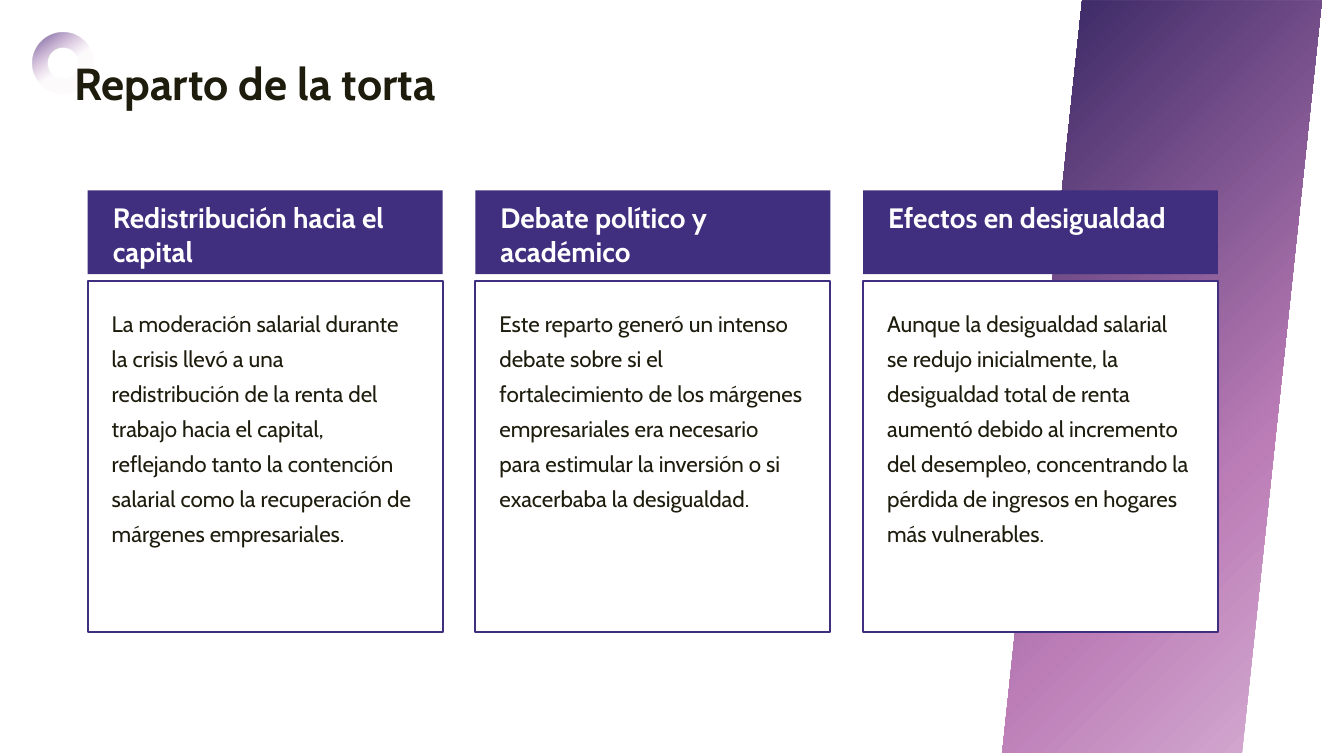
"""Build the slide 'Reparto de la torta': three headed cards over a violet band."""
from lxml import etree
from pptx import Presentation
from pptx.dml.color import RGBColor
from pptx.enum import shapes, text
from pptx.oxml import ns
from pptx.util import Inches, Pt

VIOLET, INK, WHITE = "402E7F", "1E1C0D", "FFFFFF"
COLUMN_LEFT, COLUMN_STEP, COLUMN_WIDTH = 0.87, 3.845, 3.52
TEXT_INSET = 0.15

columns = [
    ("Redistribución hacia el capital",
     "La moderación salarial durante la crisis llevó a una redistribución de la renta "
     "del trabajo hacia el capital, reflejando tanto la contención salarial como la "
     "recuperación de márgenes empresariales."),
    ("Debate político y académico",
     "Este reparto generó un intenso debate sobre si el fortalecimiento de los márgenes "
     "empresariales era necesario para estimular la inversión o si exacerbaba la "
     "desigualdad."),
    ("Efectos en desigualdad",
     "Aunque la desigualdad salarial se redujo inicialmente, la desigualdad total de "
     "renta aumentó debido al incremento del desempleo, concentrando la pérdida de "
     "ingresos en hogares más vulnerables."),
]


def color(value):
    return RGBColor.from_string(value)


def write(box, words, size, ink, bold=False, spacing=1.0):
    frame = box.text_frame
    frame.word_wrap = True
    frame.auto_size = text.MSO_AUTO_SIZE.SHAPE_TO_FIT_TEXT
    frame.vertical_anchor = text.MSO_ANCHOR.TOP
    frame.text = words
    paragraph = frame.paragraphs[0]
    paragraph.alignment = text.PP_ALIGN.LEFT
    paragraph.line_spacing = spacing
    paragraph.font.name = "Cabin"
    paragraph.font.size = Pt(size)
    paragraph.font.bold = bold
    paragraph.font.color.rgb = color(ink)


deck = Presentation()
deck.slide_width, deck.slide_height = Inches(13.33), Inches(7.5)
slide = deck.slides.add_slide(deck.slide_layouts[5])

decorations = [
    (shapes.MSO_SHAPE.DONUT, (0.32, 0.32, 0.61, 0.61), 99, 315,
     [(0, VIOLET, 100), (54, "BC7DB7", 3), (100, "BC7DB7", 3)]),
    (shapes.MSO_SHAPE.PARALLELOGRAM, (9.94, 0.01, 3.17, 7.46), 0, 225,
     [(0, "D7B1D4", 100), (34, "BC7DB7", 100), (100, "30225F", 100)]),
]
for preset, place, rotation, angle, stops in decorations:
    decoration = slide.shapes.add_shape(preset, *map(Inches, place))
    decoration.rotation = rotation
    decoration.shadow.inherit = False
    decoration.line.fill.background()
    decoration.fill.gradient()
    decoration.fill.gradient_angle = 360 - angle
    stop_list = decoration.element.spPr.find(ns.qn("a:gradFill")).find(ns.qn("a:gsLst"))
    for stop in list(stop_list):
        stop_list.remove(stop)
    for position, shade, opacity in stops:
        stop = etree.SubElement(stop_list, ns.qn("a:gs"), pos=str(position * 1000))
        tone = etree.SubElement(stop, ns.qn("a:srgbClr"), val=shade)
        if opacity < 100:
            etree.SubElement(tone, ns.qn("a:alpha"), val=str(opacity * 1000))

title = slide.shapes.title
title.left, title.top, title.width, title.height = map(Inches, (0.64, 0.5, 11.1, 0.64))
write(title, "Reparto de la torta", 32, INK, bold=True)
slide.shapes.element.append(title.element)

for index, (heading, explanation) in enumerate(columns):
    left = COLUMN_LEFT + index * COLUMN_STEP
    for top, height, fill in [(2.79, 3.48, WHITE), (1.89, 0.83, VIOLET)]:
        panel = slide.shapes.add_shape(
            shapes.MSO_SHAPE.RECTANGLE, *map(Inches, (left, top, COLUMN_WIDTH, height)))
        panel.shadow.inherit = False
        panel.fill.solid()
        panel.fill.fore_color.rgb = color(fill)
        if fill == WHITE:
            panel.line.color.rgb = color(VIOLET)
            panel.line.width = Pt(1.5)
        else:
            panel.line.fill.background()

    text_left, text_width = left + TEXT_INSET, COLUMN_WIDTH - 2 * TEXT_INSET
    heading_box = slide.shapes.add_textbox(
        *map(Inches, (text_left, 1.94, text_width, 0.77)))
    write(heading_box, heading, 20, WHITE, bold=True)
    explanation_box = slide.shapes.add_textbox(
        *map(Inches, (text_left - 0.01, 2.95, text_width, 3.25)))
    write(explanation_box, explanation, 16, INK, spacing=1.3)

deck.save("out.pptx")
